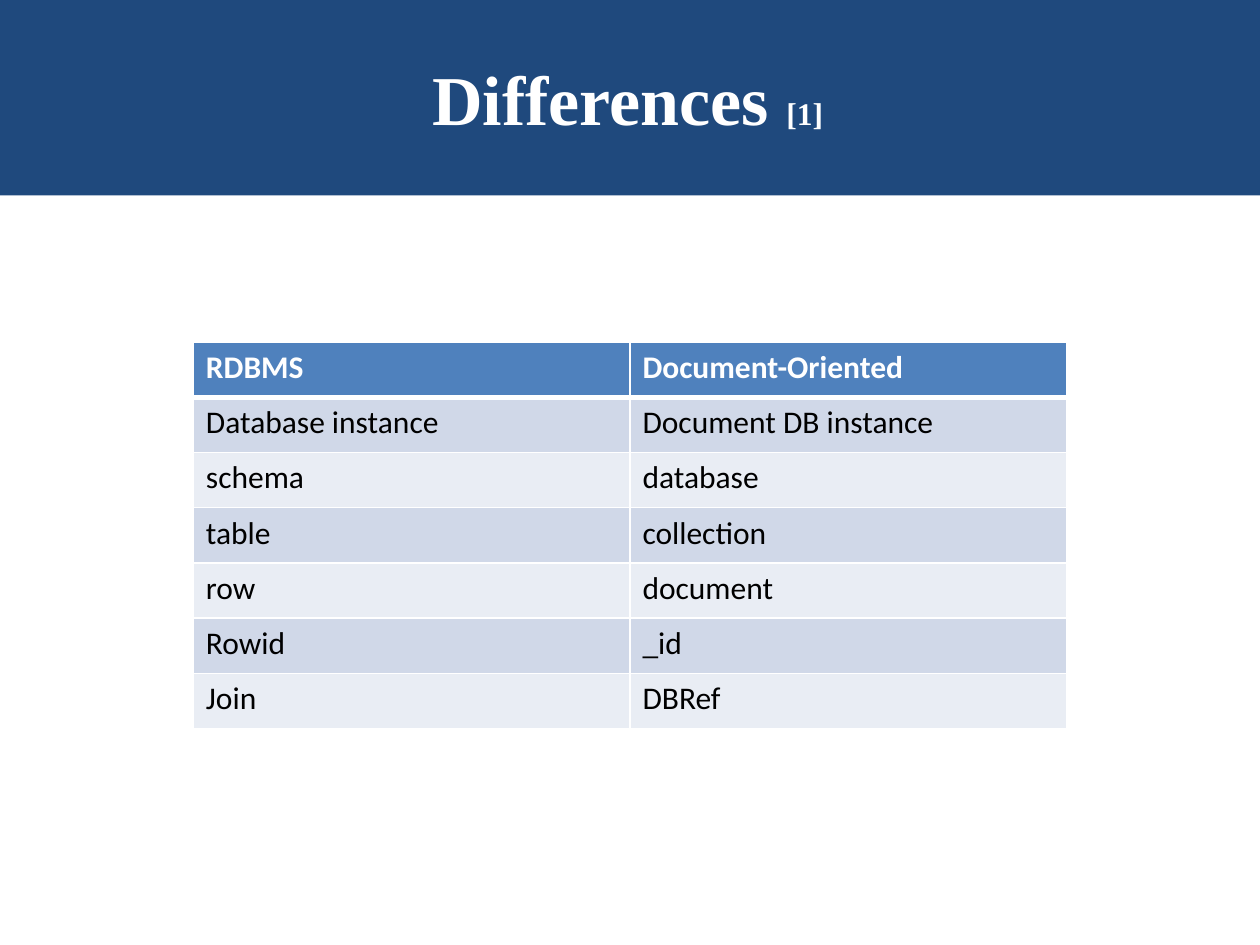
"""Build a slide that compares RDBMS terms with document-oriented terms."""
from lxml import etree
from pptx import Presentation
from pptx.dml.color import RGBColor
from pptx.enum.shapes import MSO_SHAPE
from pptx.enum.text import MSO_ANCHOR, PP_ALIGN
from pptx.oxml.ns import qn
from pptx.util import Pt

RECT = MSO_SHAPE.RECTANGLE
MIDDLE = MSO_ANCHOR.MIDDLE
CENTER = PP_ALIGN.CENTER
WHITE = "FFFFFF"
BLACK = "000000"
NAVY = "1F497D"
BLUE = "4F81BD"
BANDS = ["E9EDF4", "D0D8E8"]
TERMS = [
    ("RDBMS", "Document-Oriented"),
    ("Database instance", "Document DB instance"),
    ("schema", "database"),
    ("table", "collection"),
    ("row", "document"),
    ("Rowid", "_id"),
    ("Join", "DBRef"),
]


def paint(fill, color):
    fill.solid()
    fill.fore_color.rgb = RGBColor.from_string(color)


def style(run, name, size, color, bold):
    run.font.name = name
    run.font.size = Pt(size)
    run.font.bold = bold
    paint(run.font.fill, color)


deck = Presentation()
deck.slide_width = Pt(720)
deck.slide_height = Pt(540)
slide = deck.slides.add_slide(deck.slide_layouts[6])

title = slide.shapes.add_shape(RECT, Pt(0), Pt(0), Pt(720), Pt(111.6))
title.shadow.inherit = False
title.line.fill.background()
paint(title.fill, NAVY)
title.text_frame.word_wrap = True
title.text_frame.vertical_anchor = MIDDLE
title.text_frame.margin_right = Pt(9.6)
line = title.text_frame.paragraphs[0]
line.alignment = CENTER
for text, size in [("Differences ", 40), ("[1]", 18)]:
    run = line.add_run()
    run.text = text
    style(run, "Times New Roman", size, WHITE, True)

frame = slide.shapes.add_table(
    len(TERMS), 2, Pt(110.5), Pt(195.4), Pt(499), Pt(221.2))
table = frame.table
for row, terms in enumerate(TERMS):
    head = row == 0
    for col, term in enumerate(terms):
        cell = table.cell(row, col)
        cell.text_frame.text = term
        run = cell.text_frame.paragraphs[0].runs[0]
        style(run, "Calibri", 18, WHITE if head else BLACK, head)
        props = cell._tc.get_or_add_tcPr()
        for side in "LRTB":
            thick = (head and side == "B") or (row == 1 and side == "T")
            edge = etree.SubElement(
                props, qn(f"a:ln{side}"), w=str(Pt(3 if thick else 1)))
            solid = etree.SubElement(edge, qn("a:solidFill"))
            etree.SubElement(solid, qn("a:srgbClr"), val=WHITE)
        paint(cell.fill, BLUE if head else BANDS[row % 2])

deck.save("out.pptx")
